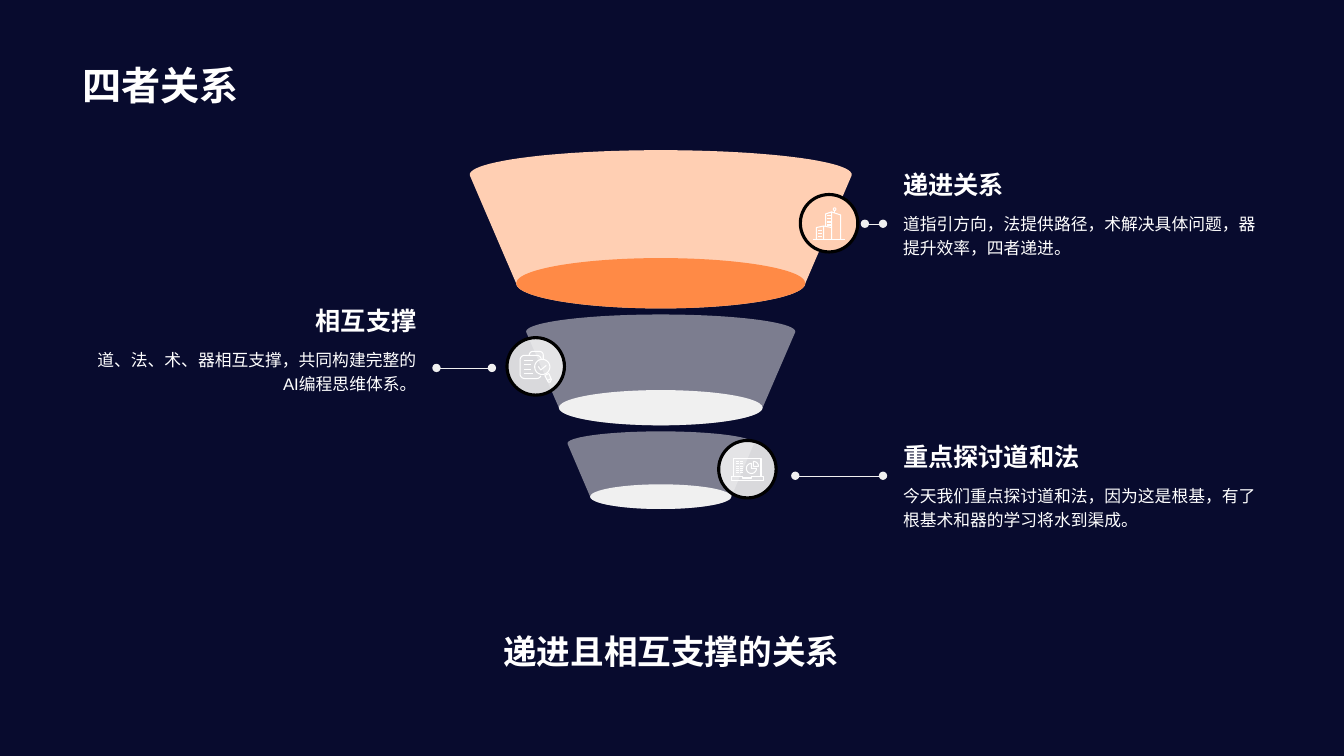
import math
import lxml.etree
import pptx
import pptx.dml.color
import pptx.enum.shapes
import pptx.enum.text
import pptx.oxml.ns
import pptx.util

ALIGN = pptx.enum.text.PP_ALIGN
ANCHOR = pptx.enum.text.MSO_ANCHOR
SHAPE = pptx.enum.shapes.MSO_SHAPE
CELL = 0.1  # inches per grid column and row

THEME = {
    "page": "080B2E", "text": "FFFFFF", "ring": "000000", "pale": "F0F0F0",
    "peach": "FFCFB3", "orange": "FF8A46",
    "title": {"size": pptx.util.Pt(28), "bold": True},
    "summary": {"size": pptx.util.Pt(24), "bold": True},
    "heading": {"size": pptx.util.Pt(18), "bold": True},
    "body": {"size": pptx.util.Pt(12), "bold": False},
    "ring_width": 2.25, "leader_width": 0.25, "icon_width": 0.75,
}


def grid(*cells):
    return [pptx.util.Inches(cell * CELL) for cell in cells]


def color(name):
    return pptx.dml.color.RGBColor.from_string(THEME[name])


def arc(x, y, rx, ry, start, end, steps=48):
    """Points on an ellipse; angles in degrees, clockwise from the right."""
    angles = [math.radians(start + (end - start) * i / steps) for i in range(steps + 1)]
    return [(x + rx * math.cos(a), y + ry * math.sin(a)) for a in angles]


def paint(shape, fill=None, opacity=100, line=None, width=0):
    shape.shadow.inherit = False
    if fill:
        shape.fill.solid()
        shape.fill.fore_color.rgb = color(fill)
        if opacity < 100:
            tint = shape.fill._xPr.find(".//" + pptx.oxml.ns.qn("a:srgbClr"))
            lxml.etree.SubElement(tint, pptx.oxml.ns.qn("a:alpha"), val=str(opacity * 1000))
    else:
        shape.fill.background()
    if line:
        shape.line.color.rgb = color(line)
        shape.line.width = pptx.util.Pt(width)
    else:
        shape.line.fill.background()


def add_outline(page, strokes, closed):
    builder = None
    for stroke in strokes:
        points = [grid(*point) for point in stroke]
        if builder is None:
            builder = page.shapes.build_freeform(*points[0])
        else:
            builder.move_to(*points[0])
        builder.add_line_segments(points[1:], close=closed)
    return builder.convert_to_shape()


def add_text(page, box, text, style, align=ALIGN.LEFT, anchor=ANCHOR.BOTTOM, spacing=1.0):
    frame = page.shapes.add_textbox(*grid(*box)).text_frame
    para = frame.paragraphs[0]
    span = para.add_run()
    span.text = text
    formats = [
        (frame, {"word_wrap": True, "vertical_anchor": anchor}),
        (para, {"alignment": align, "line_spacing": spacing}),
        (span.font, {"name": "Arial", **THEME[style]}),
    ]
    for target, values in formats:
        for name, value in values.items():
            setattr(target, name, value)
    span.font.color.rgb = color("text")


# Funnel stage: a bowl wall with an elliptical base, both shares of its box
def add_stage(page, box, wall, opacity, base):
    left, top, width, height = box
    middle = left + width / 2
    rim, base_width, base_height = 0.155 * height, 0.757 * width, 0.318 * height
    base_y = top + height - base_height / 2
    outline = (arc(middle, top + rim, width / 2, rim, 175, 365)
               + arc(middle, base_y, base_width / 2, base_height / 2, 0, 180))
    paint(add_outline(page, [outline], True), wall, opacity)
    oval = page.shapes.add_shape(SHAPE.OVAL, *grid(
        middle - base_width / 2, top + height - base_height, base_width, base_height))
    paint(oval, base)


# Icons: strokes on a field 32 units wide, drawn from its top left corner
def city_icon():
    windows = [[(5, y), (9, y)] for y in (22.5, 25.5, 28.5)]
    windows += [[(14, y), (18, y)] for y in (8.5, 11.5, 14.5, 17.5)]
    return windows + [
        [(0, 31.5), (32, 31.5)],
        [(3.5, 31.5), (3.5, 20), (10.5, 18.5), (10.5, 31.5)],
        [(12.5, 18.5), (12.5, 6.5), (18.5, 4.5), (18.5, 31.5)],
        [(10.5, 18.5), (18.5, 20)],
        [(18.5, 4.5), (27.5, 7.5), (27.5, 31.5)],
        [(21.5, 5.5), (21.5, 3)],
        arc(21.5, 1.8, 1.3, 1.3, 0, 360),
    ]


def review_icon():
    rows = [[(4, y), (x, y)] for x, y in ((13, 9.5), (11, 13.5), (11, 18.5), (13, 22.5))]
    sheet = (arc(17, 9, 4.5, 4.5, -10, -90) + arc(5, 9, 4.5, 4.5, 270, 180)
             + arc(5, 23, 4.5, 4.5, 180, 90) + arc(17, 23, 4.5, 4.5, 90, 25))
    return rows + [
        sheet,
        arc(13.5, 4.5, 4, 4, 180, 270) + arc(19.5, 4.5, 4, 4, 270, 360) + [(23.5, 8)],
        arc(22.5, 16, 7.5, 7.5, 0, 360),
        [(25, 24.5), (28.5, 31), (30.5, 31), (31.5, 28.5), (29, 22.5)],
        [(25, 24.5), (29, 22.5)],
        [(27.5, 29.5), (31.5, 27.5)],
        [(18.5, 15.5), (21, 19), (26.5, 14.5)],
    ]


def laptop_icon():
    rows = [[(x, y), (x + 3, y)] for y in (3.5, 5.5, 8, 10, 12.5, 14.5) for x in (4.5, 8.5)]
    return rows + [
        [(2.5, 18.5), (2.5, 0.5), (29.5, 0.5), (29.5, 18.5)],
        [(0.5, 18.5), (11.5, 18.5), (11.5, 19.5), (20.5, 19.5), (20.5, 18.5),
         (31.5, 18.5), (31.5, 21.5), (0.5, 21.5), (0.5, 18.5)],
        [(20, 10)] + arc(20, 10, 5, 5, 0, 270) + [(20, 10)],
        [(22, 8)] + arc(22, 8, 5, 5, -90, 0) + [(22, 8)],
    ]


# Round badge with a line icon in its centre
def add_badge(page, box, fill, opacity, strokes):
    left, top, size = box
    disc = page.shapes.add_shape(SHAPE.OVAL, *grid(left, top, size, size))
    paint(disc, fill, opacity, "ring", THEME["ring_width"])
    height = max(y for stroke in strokes for _, y in stroke)
    x0, y0 = left + size / 2 - 1.6, top + size / 2 - height / 20
    placed = [[(x0 + x / 10, y0 + y / 10) for x, y in stroke] for stroke in strokes]
    paint(add_outline(page, placed, False), line="text", width=THEME["icon_width"])


# Leader line with a dot at each end
def add_leader(page, start, end, row):
    leader = page.shapes.add_connector(
        pptx.enum.shapes.MSO_CONNECTOR.STRAIGHT, *grid(start, row, end, row))
    leader.line.color.rgb = color("pale")
    leader.line.width = pptx.util.Pt(THEME["leader_width"])
    stroke = leader.line._get_or_add_ln()
    for tag in ("a:headEnd", "a:tailEnd"):
        lxml.etree.SubElement(stroke, pptx.oxml.ns.qn(tag), type="oval")
    lxml.etree.SubElement(leader._element.spPr, pptx.oxml.ns.qn("a:effectLst"))


# Callout: heading above body text
def add_callout(page, box, heading, body, align):
    left, top, width, height = box
    split = 0.44 * height
    add_text(page, (left, top, width, split), heading, "heading", align)
    add_text(page, (left, top + split, width, height - split), body, "body",
             align, ANCHOR.TOP, 1.2)


def build_funnel_page(page):
    page.background.fill.solid()
    page.background.fill.fore_color.rgb = color("page")
    add_text(page, (7.2, 1.4, 118.8, 9.8), "四者关系", "title")
    add_text(page, (42.8, 56.1, 47.6, 11), "递进且相互支撑的关系", "summary", ALIGN.CENTER)

    # Stages share one axis and one gap
    axis, gap, top = 65.55, 0.6, 14.9
    for width, height, wall, opacity, base in (
            (37.9, 15.7, "peach", 100, "orange"),
            (26.7, 11.0, "pale", 50, "pale"),
            (18.5, 7.7, "pale", 50, "pale")):
        add_stage(page, (axis - width / 2, top, width, height), wall, opacity, base)
        top += height + gap

    # Each note: badge, leader and callout
    right, left = (88.6, 37.1, ALIGN.LEFT), (7.5, 34.8, ALIGN.RIGHT)
    notes = [
        ("递进关系", "道指引方向，法提供路径，术解决具体问题，器提升效率，四者递进。",
         right, (79.4, 19.3), ("peach", 100), city_icon(), (85.8, 87.6, 22.2)),
        ("相互支撑", "道、法、术、器相互支撑，共同构建完整的AI编程思维体系。",
         left, (50.3, 33.5), ("pale", 90), review_icon(), (48.8, 43.3, 36.5)),
        ("重点探讨道和法", "今天我们重点探讨道和法，因为这是根基，有了根基术和器的学习将水到渠成。",
         right, (71.3, 43.7), ("pale", 90), laptop_icon(), (78.9, 87.6, 47.2)),
    ]
    for index, (heading, body, side, spot, fill, strokes, leader) in enumerate(notes):
        column, width, align = side
        add_badge(page, (*spot, 5.7), *fill, strokes)
        add_leader(page, *leader)
        add_callout(page, (column, 13.5 * (index + 1), width, 15.5), heading, body, align)


def main():
    deck = pptx.Presentation()
    deck.slide_width, deck.slide_height = grid(133.33, 75)
    build_funnel_page(deck.slides.add_slide(deck.slide_layouts[6]))
    deck.save("out.pptx")


if __name__ == "__main__":
    main()
